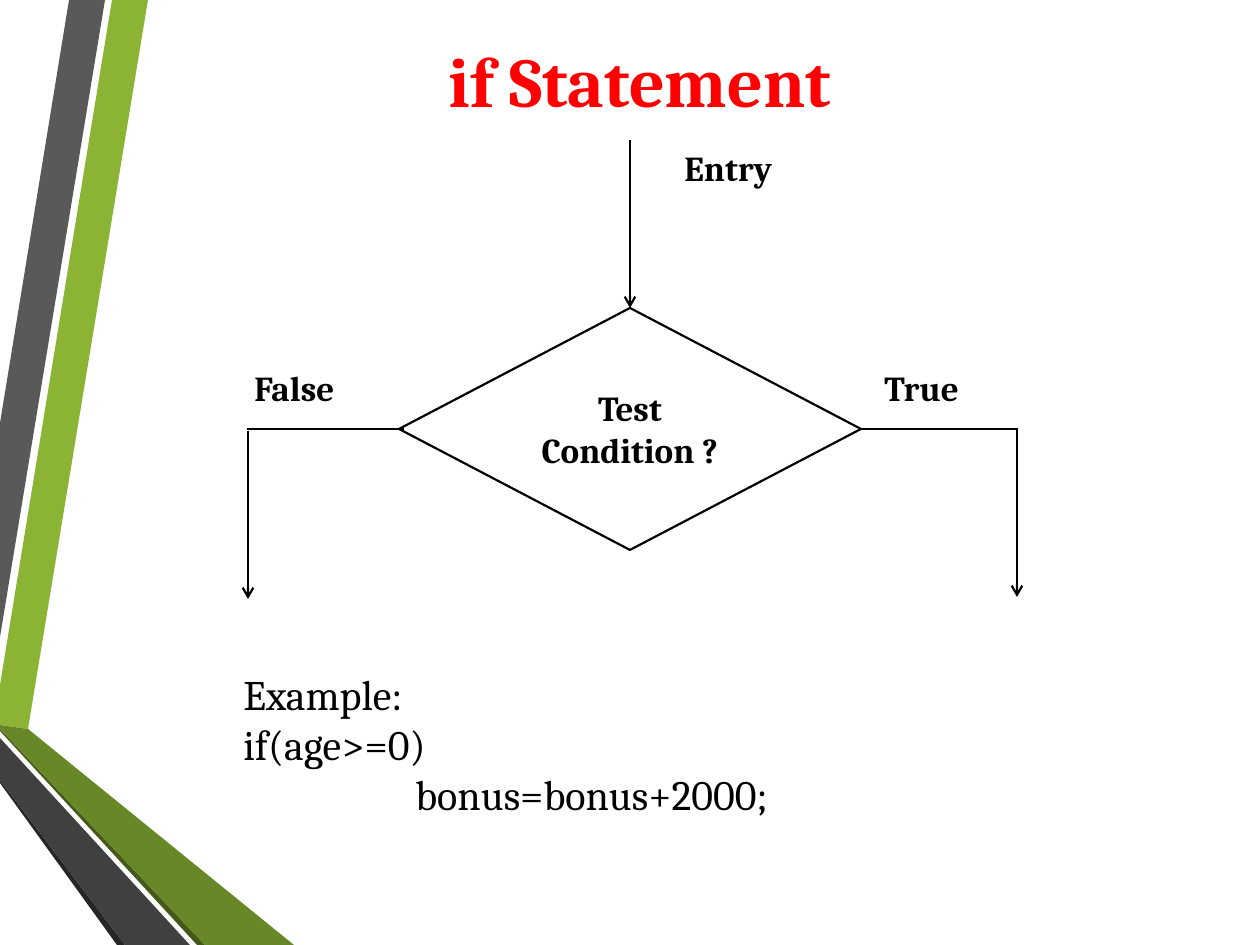
from typing import NamedTuple

from pptx import Presentation, util as u
from pptx.dml.color import RGBColor
from pptx.enum import shapes, text
from pptx.oxml.ns import qn
from lxml import etree

EMU_PER_PX = 914400 / 126
FONT = "Cambria"

BLACK = RGBColor(0x00, 0x00, 0x00)
WHITE = RGBColor(0xFF, 0xFF, 0xFF)
RED = RGBColor(0xFF, 0x00, 0x00)
LIME = RGBColor(0x8B, 0xB4, 0x34)
GRAY = RGBColor(0x59, 0x59, 0x59)
CHARCOAL = RGBColor(0x26, 0x26, 0x26)
DARK_OLIVE = RGBColor(0x45, 0x5A, 0x1A)
OLIVE = RGBColor(0x68, 0x87, 0x27)
DARK_GRAY = RGBColor(0x40, 0x40, 0x40)


class Band(NamedTuple):
    color: RGBColor
    points: list[tuple[int, int]]


class Flow(NamedTuple):
    start: tuple[int, int]
    end: tuple[int, int]
    arrow: bool = False


class Label(NamedTuple):
    words: str
    left: int
    top: int


BANDS = [
    Band(LIME, [(0, 685), (0, 725), (28, 729), (148, 0), (112, 0)]),
    Band(GRAY, [(105, 0), (69, 0), (0, 423), (0, 637)]),
    Band(CHARCOAL, [(0, 780), (0, 783), (117, 945), (125, 945)]),
    Band(DARK_OLIVE, [(0, 729), (0, 731), (197, 945), (205, 945)]),
    Band(OLIVE, [(0, 729), (205, 945), (294, 945), (28, 729), (0, 725)]),
    Band(DARK_GRAY, [(0, 780), (125, 945), (190, 945), (0, 738)]),
]
FLOWS = [
    Flow((630, 140), (630, 308), arrow=True),
    Flow((247, 429), (404, 429)),
    Flow((861, 429), (1018, 429)),
    Flow((1017, 429), (1017, 597), arrow=True),
    Flow((248, 431), (248, 599), arrow=True),
]
LABELS = [Label("Entry", 672, 140), Label("True", 872, 360), Label("False", 242, 360)]
EXAMPLE = ["Example:", "if(age>=0)", "bonus=bonus+2000;"]


def px(length: int) -> u.Emu:
    return u.Emu(round(length * EMU_PER_PX))


def box(*lengths: int) -> list[u.Emu]:
    return [px(length) for length in lengths]


def style_text(frame, size: int, color: RGBColor = BLACK, bold: bool = False) -> None:
    for paragraph in frame.paragraphs:
        for run in paragraph.runs:
            run.font.name = FONT
            run.font.size = u.Pt(size)
            run.font.bold = bold
            run.font.color.rgb = color


def draw_band(slide, band: Band) -> None:
    builder = slide.shapes.build_freeform(*band.points[0], scale=EMU_PER_PX)
    builder.add_line_segments(band.points[1:], close=True)
    stripe = builder.convert_to_shape()
    stripe.shadow.inherit = False
    stripe.fill.solid()
    stripe.fill.fore_color.rgb = band.color
    stripe.line.fill.background()


def draw_flow(slide, flow: Flow) -> None:
    line = slide.shapes.add_connector(
        shapes.MSO_CONNECTOR.STRAIGHT, *box(*flow.start, *flow.end))
    line.line.color.rgb = BLACK
    line.line.width = u.Pt(1.25)
    properties = line.element.spPr
    if flow.arrow:
        etree.SubElement(properties.find(qn("a:ln")), qn("a:tailEnd"), type="arrow")
    etree.SubElement(properties, qn("a:effectLst"))


def draw_text(slide, words: str, bounds: list[u.Emu], size: int, bold: bool):
    frame = slide.shapes.add_textbox(*bounds).text_frame
    frame.word_wrap = True
    frame.auto_size = text.MSO_AUTO_SIZE.SHAPE_TO_FIT_TEXT
    frame.text = words
    style_text(frame, size, bold=bold)
    return frame


def draw_condition(slide) -> None:
    condition = slide.shapes.add_shape(
        shapes.MSO_SHAPE.DIAMOND, *box(399, 308, 462, 242))
    condition.shadow.inherit = False
    condition.fill.solid()
    condition.fill.fore_color.rgb = WHITE
    condition.line.color.rgb = BLACK
    condition.line.width = u.Pt(1.25)
    frame = condition.text_frame
    frame.word_wrap = True
    frame.vertical_anchor = text.MSO_ANCHOR.MIDDLE
    frame.text = "Test Condition ?"
    frame.paragraphs[0].alignment = text.PP_ALIGN.CENTER
    style_text(frame, 20, bold=True)


def main() -> None:
    deck = Presentation()
    deck.slide_width, deck.slide_height = box(1260, 945)
    slide = deck.slides.add_slide(deck.slide_layouts[5])

    # Side decoration
    for band in BANDS:
        draw_band(slide, band)

    # Title, in front of the decoration
    title = slide.shapes.title
    title.element.getparent().append(title.element)
    title.left, title.top, title.width, title.height = box(73, 0, 1134, 158)
    title.text_frame.text = "if Statement"
    title.text_frame.vertical_anchor = text.MSO_ANCHOR.MIDDLE
    title.text_frame.paragraphs[0].alignment = text.PP_ALIGN.CENTER
    style_text(title.text_frame, 40, RED, bold=True)

    # Flowchart
    draw_condition(slide)
    for flow in FLOWS:
        draw_flow(slide, flow)
    for label in LABELS:
        draw_text(slide, label.words, box(label.left, label.top, 189, 55), 20, True)

    # Code example, with the statement indented
    example = draw_text(slide, "\n".join(EXAMPLE), box(231, 662, 998, 164), 24, False)
    statement = example.paragraphs[-1]
    statement._p.get_or_add_pPr().set("marL", str(px(172)))

    deck.save("out.pptx")


if __name__ == "__main__":
    main()
